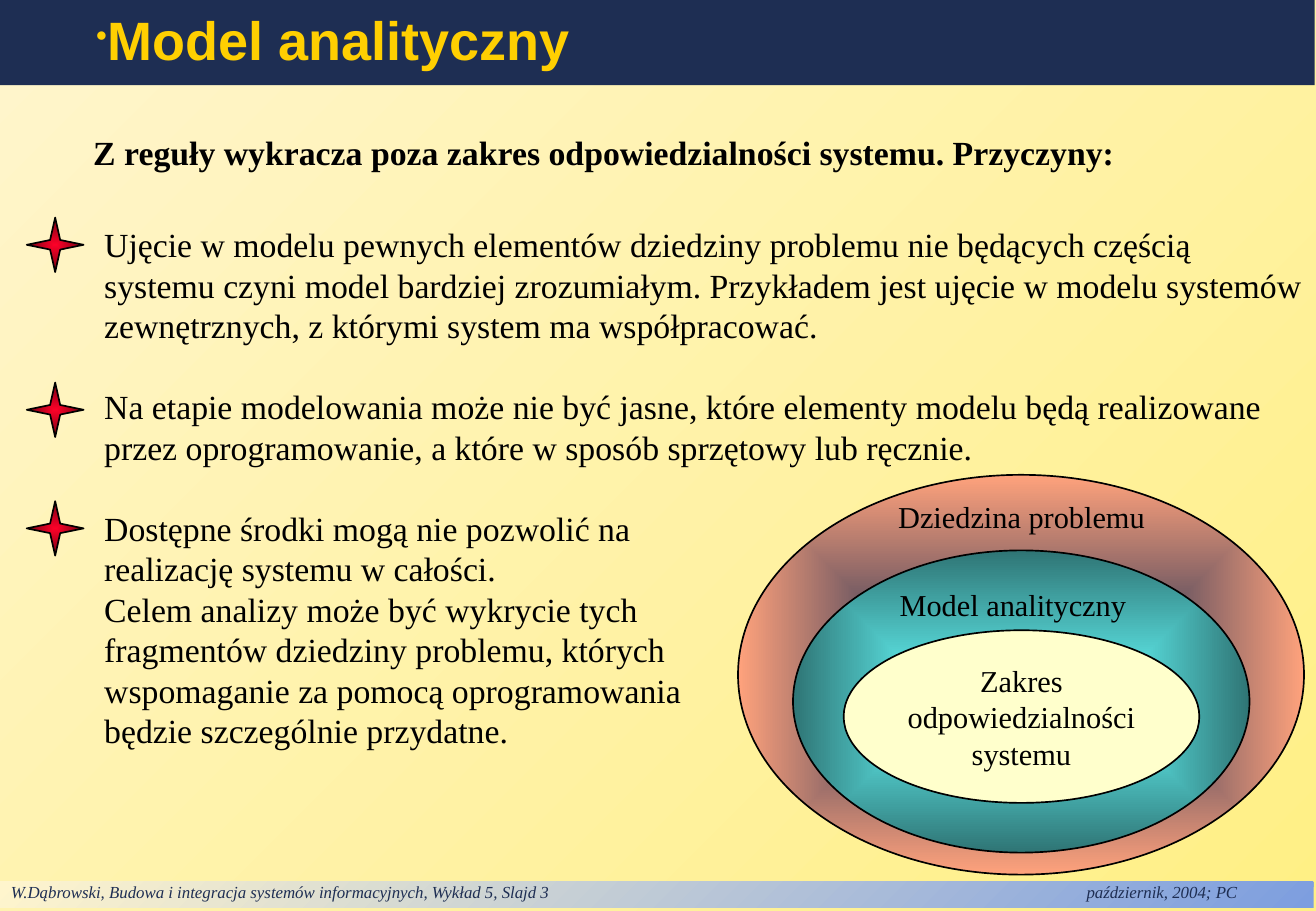
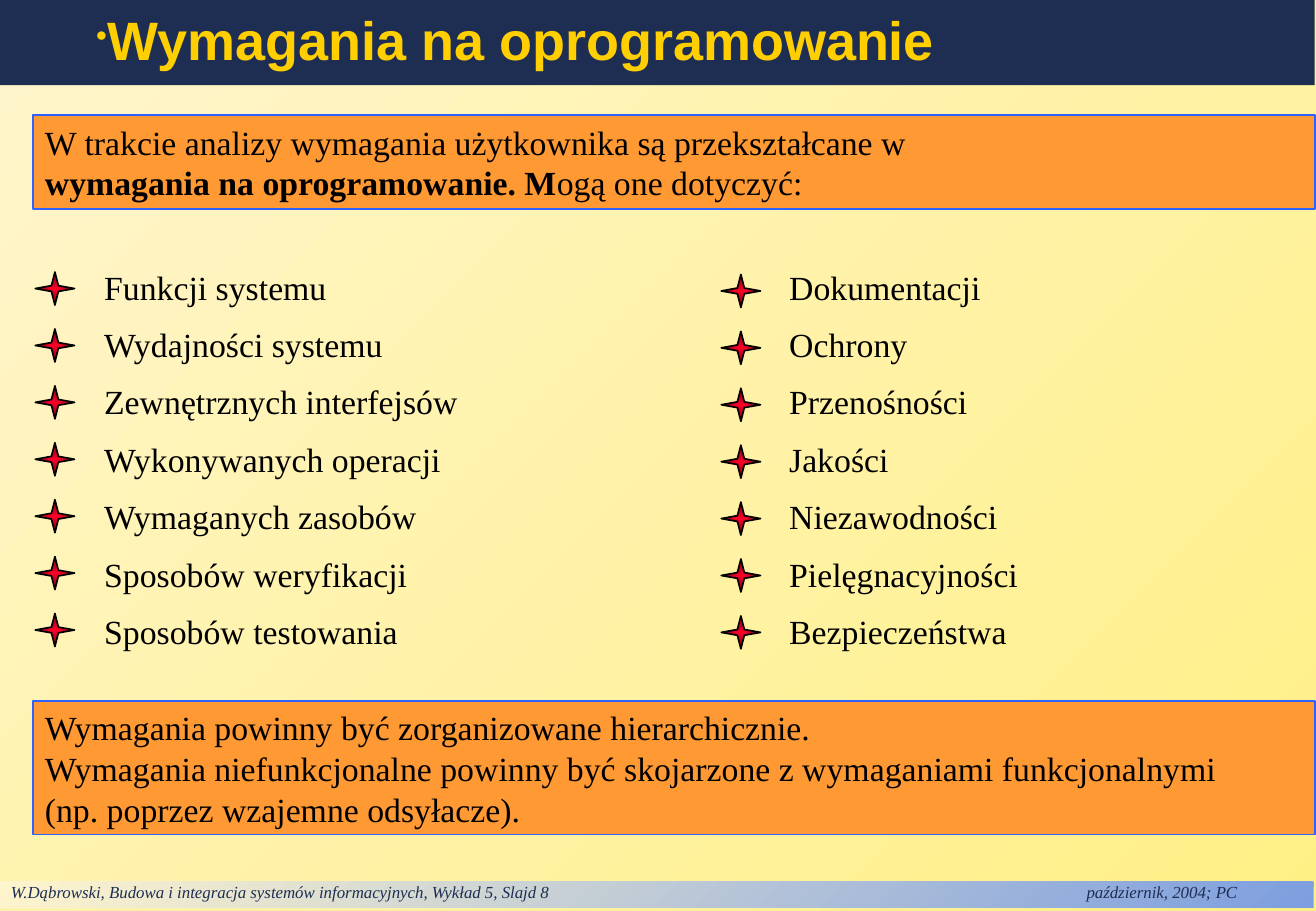
from dataclasses import dataclass

from lxml.etree import SubElement
from pptx import Presentation
from pptx.dml.color import RGBColor
from pptx.enum.shapes import MSO_SHAPE
from pptx.enum.text import MSO_ANCHOR, MSO_AUTO_SIZE, PP_ALIGN
from pptx.oxml.ns import qn
from pptx.util import Cm, Pt

RECTANGLE, OVAL, STAR = MSO_SHAPE.RECTANGLE, MSO_SHAPE.OVAL, MSO_SHAPE.STAR_4_POINT
TOP, MIDDLE = MSO_ANCHOR.TOP, MSO_ANCHOR.MIDDLE
LEFT, CENTER = PP_ALIGN.LEFT, PP_ALIGN.CENTER
TITLE_ONLY = 5


@dataclass(frozen=True)
class Theme:
    navy: str = "1E2E53"
    gold: str = "FFCF01"
    ink: str = "000000"
    orange: str = "FF9933"
    blue: str = "2F61FF"
    cream: str = "FFFFCC"
    backdrop: tuple = ("FFF085", "FFF5CD")
    footer_band: tuple = ("7D9EDF", "FFF5CD")
    star: tuple = ("FC0128", "740012")
    domain: tuple = ("1E2E53", "FFA27C")
    model: tuple = ("66FFFF", "2F7575")
    heading_font: str = "Arial"
    body_font: str = "Times New Roman"
    title_size: float = 32
    body_size: float = 20
    label_size: float = 18
    footer_size: float = 10
    leading: float = 1.2


THEME = Theme()

# Content: paragraphs are strings, or lists of (text, bold) runs
FOOTER = "W.Dąbrowski, Budowa i integracja systemów informacyjnych, Wykład 5, Slajd {}\tpaździernik, 2004; PC"

MODEL_TITLE = "Model analityczny"
MODEL_LEAD = "Z reguły wykracza poza zakres odpowiedzialności systemu. Przyczyny:"
REASONS = [  # top of the star, paragraphs
    (4.55, ["Ujęcie w modelu pewnych elementów dziedziny problemu nie będących częścią "
            "systemu czyni model bardziej zrozumiałym. Przykładem jest ujęcie w modelu "
            "systemów zewnętrznych, z którymi system ma współpracować."]),
    (8.0, ["Na etapie modelowania może nie być jasne, które elementy modelu będą "
           "realizowane przez oprogramowanie, a które w sposób sprzętowy lub ręcznie."]),
    (10.48, ["Dostępne środki mogą nie pozwolić na",
             "realizację systemu w całości.",
             "Celem analizy może być wykrycie tych",
             "fragmentów dziedziny problemu, których",
             "wspomaganie za pomocą oprogramowania",
             "będzie szczególnie przydatne."]),
]
SCOPES = [  # box, fill; from the outermost inwards
    ((15.44, 9.93, 11.84, 8.36), THEME.domain),
    ((16.59, 11.51, 9.55, 6.32), THEME.model),
    ((17.65, 13.18, 7.44, 3.61), THEME.cream),
]
SCOPE_LABELS = [
    ((18.54, 10.29, 6.2, 1.02), "Dziedzina problemu"),
    ((18.57, 12.12, 5.8, 1.02), "Model analityczny"),
]
INNER_SCOPE = ["Zakres", "odpowiedzialności", "systemu"]

REQUIREMENTS_TITLE = "Wymagania na oprogramowanie"
CALLOUTS = [  # top, height, paragraphs
    (2.41, 1.96, ["W trakcie analizy wymagania użytkownika są przekształcane w",
                  [("wymagania na oprogramowanie. M", True), ("ogą one dotyczyć:", False)]]),
    (14.66, 2.79, ["Wymagania powinny być zorganizowane hierarchicznie.",
                   "Wymagania niefunkcjonalne powinny być skojarzone z wymaganiami "
                   "funkcjonalnymi\n(np. poprzez wzajemne odsyłacze)."]),
]
REQUIREMENTS = [  # text left, star left, first star top, items
    (1.93, 0.74, 5.69, ["Funkcji systemu", "Wydajności systemu", "Zewnętrznych interfejsów",
                        "Wykonywanych operacji", "Wymaganych zasobów",
                        "Sposobów weryfikacji", "Sposobów testowania"]),
    (16.26, 15.09, 5.74, ["Dokumentacji", "Ochrony", "Przenośności", "Jakości",
                          "Niezawodności", "Pielęgnacyjności", "Bezpieczeństwa"]),
]
REQUIREMENT_STEP = 1.19


def add_text(shape, paragraphs, *, size=THEME.body_size, font=THEME.body_font,
             color=THEME.ink, bold=False, italic=False, align=LEFT, anchor=TOP,
             wrap=True, leading=None, after=0, gaps=(), margins=(0.25, 0.13, 0.25, 0.13)):
    """Fill a shape with text; gaps holds the paragraph numbers preceded by an empty line."""
    frame = shape.text_frame
    frame.auto_size = MSO_AUTO_SIZE.NONE
    frame.word_wrap, frame.vertical_anchor = wrap, anchor
    (frame.margin_left, frame.margin_top,
     frame.margin_right, frame.margin_bottom) = map(Cm, margins)
    line_height = Pt(size * THEME.leading)
    for index, content in enumerate(paragraphs):
        paragraph = frame.add_paragraph() if index else frame.paragraphs[0]
        paragraph.alignment = align
        paragraph.line_spacing = leading or line_height
        paragraph.space_before = line_height if index in gaps else Pt(0)
        paragraph.space_after = Pt(after)
        runs = [(content, bold)] if isinstance(content, str) else content
        for text, is_bold in runs:
            for number, line in enumerate(text.split("\n")):
                if number:
                    paragraph.add_line_break()
                run = paragraph.add_run()
                run.text = line
                run.font.name, run.font.size = font, Pt(size)
                run.font.bold, run.font.italic = is_bold, italic
                run.font.color.rgb = RGBColor.from_string(color)
    return frame


def set_gradient(fill, colors):
    """Run a gradient from the bottom right corner to the top left one."""
    fill.gradient()
    fill.gradient_angle = 135
    for stop, color, position in zip(fill.gradient_stops, colors, (0, 1)):
        stop.color.rgb = RGBColor.from_string(color)
        stop.position = position


def add_figure(slide, kind, box, fill, line=None, from_center=False):
    figure = slide.shapes.add_shape(kind, *map(Cm, box))
    figure.shadow.inherit = False
    if isinstance(fill, str):
        figure.fill.solid()
        figure.fill.fore_color.rgb = RGBColor.from_string(fill)
    else:
        set_gradient(figure.fill, fill)
        if from_center:
            gradient = figure.element.spPr.find(qn("a:gradFill"))
            gradient.remove(gradient.find(qn("a:lin")))
            spread = SubElement(gradient, qn("a:path"), {"path": "rect"})
            SubElement(spread, qn("a:fillToRect"), dict.fromkeys("ltrb", "50000"))
    if line:
        figure.line.color.rgb = RGBColor.from_string(line)
        figure.line.width = Pt(1)
    else:
        figure.line.fill.background()
    return figure


def add_star(slide, left, top, width, height):
    add_figure(slide, STAR, (left, top, width, height), THEME.star, THEME.ink, from_center=True)


def add_label(slide, box, paragraphs, **text_format):
    add_text(slide.shapes.add_textbox(*map(Cm, box)), paragraphs, **text_format)


def add_page(prs, title_text, number):
    """Add a slide with the title band and the footer band."""
    slide = prs.slides.add_slide(prs.slide_layouts[TITLE_ONLY])

    # Title band with its small bullet
    title = slide.shapes.title
    title.left, title.top, title.width, title.height = map(Cm, (0, 0, 27.5, 1.78))
    title.fill.solid()
    title.fill.fore_color.rgb = RGBColor.from_string(THEME.navy)
    frame = add_text(title, [title_text], size=THEME.title_size, font=THEME.heading_font,
                     color=THEME.gold, bold=True, anchor=MIDDLE, leading=0.9)
    properties = frame.paragraphs[0]._p.get_or_add_pPr()
    properties.set("marL", str(Cm(0.74)))
    properties.set("indent", str(Cm(1.02)))
    SubElement(SubElement(properties, qn("a:buClr")), qn("a:srgbClr"), val=THEME.gold)
    SubElement(properties, qn("a:buSzPct"), val="60000")
    SubElement(properties, qn("a:buChar"), char="•")

    # Footer band, with a tab before the date
    band = add_figure(slide, RECTANGLE, (-0.02, 18.44, 27.5, 0.54), THEME.footer_band)
    frame = add_text(band, [FOOTER.format(number)], size=THEME.footer_size, color=THEME.navy,
                     italic=True, leading=1.0, margins=(0.25, 0, 0.25, 0.1))
    tabs = SubElement(frame.paragraphs[0]._p.get_or_add_pPr(), qn("a:tabLst"))
    SubElement(tabs, qn("a:tab"), pos=str(Cm(22.5)), algn="l")
    return slide


def build_model(prs):
    slide = add_page(prs, MODEL_TITLE, 3)
    add_label(slide, (1.7, 2.62, 23, 1.12), [MODEL_LEAD], bold=True)

    # Reasons, one star each
    lines, reason_starts = [], []
    for star_top, paragraphs in REASONS:
        reason_starts.append(len(lines))
        lines += paragraphs
        add_star(slide, 0.56, star_top, 1.19, 1.14)
    add_label(slide, (1.93, 4.55, 25.6, 11.28), lines, gaps=reason_starts[1:])

    # Nested scopes
    for box, fill in SCOPES:
        scope = add_figure(slide, OVAL, box, fill, THEME.ink, from_center=True)
    add_text(scope, INNER_SCOPE, size=THEME.label_size, align=CENTER, anchor=MIDDLE, wrap=False)
    for box, label in SCOPE_LABELS:
        add_label(slide, box, [label], size=THEME.label_size)


def build_requirements(prs):
    slide = add_page(prs, REQUIREMENTS_TITLE, 8)
    for top, height, paragraphs in CALLOUTS:
        callout = add_figure(slide, RECTANGLE, (0.69, top, 26.82, height),
                             THEME.orange, THEME.blue)
        add_text(callout, paragraphs)

    # Two columns of requirements
    for text_left, star_left, star_top, items in REQUIREMENTS:
        add_label(slide, (text_left, 5.44, 9, 8.31), items, after=10)
        for row in range(len(items)):
            add_star(slide, star_left, star_top + row * REQUIREMENT_STEP, 0.82, 0.69)


def main():
    prs = Presentation()
    prs.slide_width, prs.slide_height = Cm(27.53), Cm(19.05)
    set_gradient(prs.slide_master.background.fill, THEME.backdrop)
    build_model(prs)
    build_requirements(prs)
    prs.save("out.pptx")


if __name__ == "__main__":
    main()
